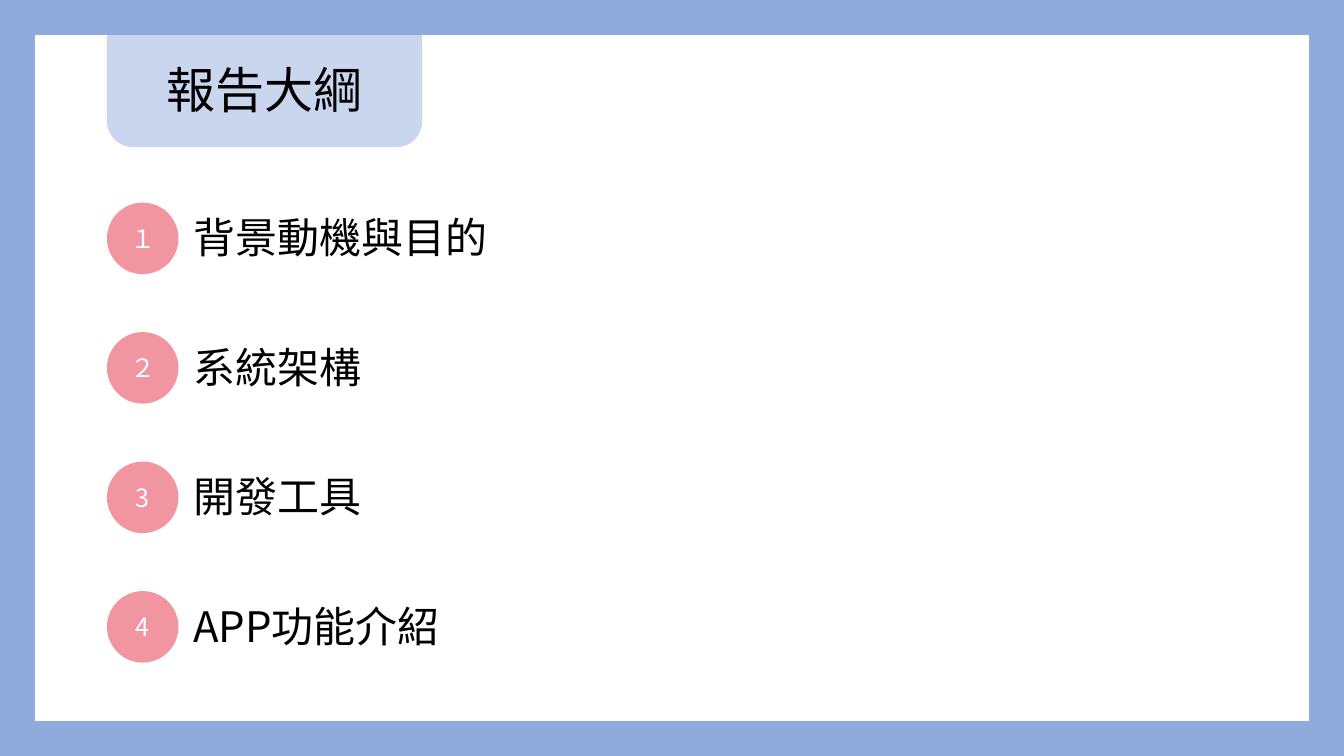
from lxml import etree
from pptx import Presentation
from pptx.dml import color
from pptx.enum import shapes, text
from pptx.oxml import ns
from pptx.util import Pt

FONT = "Noto Sans CJK SC"
BLUE, PINK, BLACK, WHITE = "8FAADC", "EE7785", "000000", "FFFFFF"
TOPICS = [("１", "背景動機與目的"), ("２", "系統架構"), ("３"[:0] + "3", "開發工具"), ("4", "APP功能介紹")]
LEFT = 76.4
FIRST_TOP = 144.7
PITCH = 92.5
CIRCLE = 51.1
LABEL_HEIGHT = 43.9


def rgb(value):
    return color.RGBColor.from_string(value)


def write(box, words, size, ink, align):
    frame = box.text_frame
    frame.text = words
    frame.word_wrap = True
    frame.vertical_anchor = text.MSO_ANCHOR.MIDDLE
    frame.margin_top = frame.margin_bottom = 0
    para = frame.paragraphs[0]
    para.alignment = align
    span = para.runs[0]
    span.font.size = Pt(size)
    span.font.color.rgb = rgb(ink)
    span.font.name = FONT
    etree.SubElement(span.font._element, ns.qn("a:ea"), typeface=FONT)


def add_label(parent, bounds, words, size, align=text.PP_ALIGN.LEFT):
    box = parent.add_textbox(*map(Pt, bounds))
    write(box, words, size, BLACK, align)


def add_filled(parent, kind, bounds, fill, opacity):
    shape = parent.add_shape(kind, *map(Pt, bounds))
    shape.shadow.inherit = False
    shape.line.fill.background()
    shape.fill.solid()
    shape.fill.fore_color.rgb = rgb(fill)
    tint = shape._element.spPr.find(ns.qn("a:solidFill"))[0]
    etree.SubElement(tint, ns.qn("a:alpha"), val=str(opacity * 1000))
    return shape


def add_frame(page, width, height):
    frame = page.shapes.add_shape(shapes.MSO_SHAPE.RECTANGLE, 0, 0, width, height)
    frame.shadow.inherit = False
    frame.fill.background()
    frame.line.color.rgb = rgb(BLUE)
    frame.line.width = Pt(50)


def add_topic(page, top, number, topic):
    group = page.shapes.add_group_shape().shapes
    circle = add_filled(group, shapes.MSO_SHAPE.OVAL, (LEFT, top, CIRCLE, CIRCLE), PINK, 77)
    write(circle, number, 18, WHITE, text.PP_ALIGN.CENTER)
    label_top = top + (CIRCLE - LABEL_HEIGHT) / 2 - 1
    add_label(group, (131, label_top, 241.2, LABEL_HEIGHT), topic, 30)


def main():
    deck = Presentation()
    deck.slide_width, deck.slide_height = Pt(960), Pt(540)
    page = deck.slides.add_slide(deck.slide_layouts[6])
    add_filled(page.shapes, shapes.MSO_SHAPE.ROUNDED_RECTANGLE, (LEFT, -6.5, 225.2, 111.6), BLUE, 48)
    add_label(page.shapes, (108.7, 38.6, 160.6, 50), "報告大綱", 35, text.PP_ALIGN.CENTER)
    add_frame(page, deck.slide_width, deck.slide_height)
    for index, (number, topic) in enumerate(TOPICS):
        add_topic(page, FIRST_TOP + index * PITCH, number, topic)
    deck.save("out.pptx")


if __name__ == "__main__":
    main()
